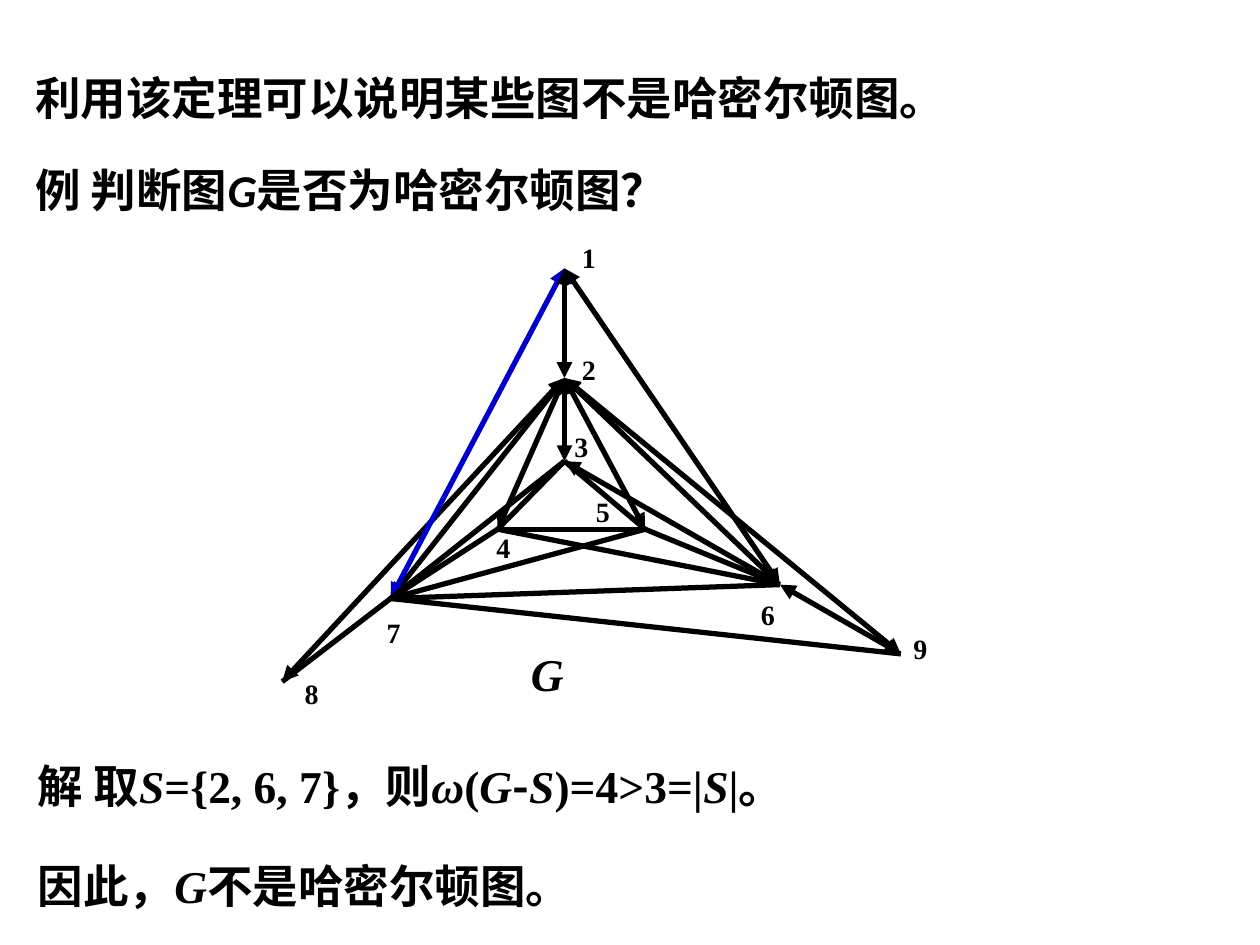
import pptx
import pptx.util
import pptx.dml.color
import pptx.enum.shapes
import pptx.enum.text
import pptx.oxml.ns
from lxml import etree

SCALE = 9144  # EMU per px, 100 px to the inch
COLORS = {"ink": "000000", "blue": "0000CC"}
SERIF, SANS, ROUND = "Times New Roman", "Noto Sans CJK SC", "Calibri"


def px(num):
    return pptx.util.Emu(num * SCALE)


def color(name):
    return pptx.dml.color.RGBColor.from_string(COLORS[name])


def add(node, tag, **attrs):
    return etree.SubElement(node, pptx.oxml.ns.qn(tag), attrs)


class Board:
    def __init__(self, deck):
        self.slide = deck.slides.add_slide(deck.slide_layouts[6])
        self.width = pptx.util.Pt(3)

    def text(self, box, runs, size, lead=None, align=None):
        """Each run is (text, italic, face)."""
        frame = self.slide.shapes.add_textbox(*map(px, box)).text_frame
        frame.word_wrap = True
        frame.auto_size = pptx.enum.text.MSO_AUTO_SIZE.SHAPE_TO_FIT_TEXT
        para = frame.paragraphs[0]
        para.line_spacing = lead
        para.alignment = align
        para.font.size = pptx.util.Pt(size)
        para.font.bold = True
        para.font.color.rgb = color("ink")
        for words, slant, face in runs:
            run = para.add_run()
            run.text = words
            run.font.name = face
            run.font.italic = slant
            add(run.font._element if hasattr(run.font, "_element")
                else run._r.get_or_add_rPr(), "a:ea", typeface=SANS)

    def line(self, start, end, arrows, tint="ink"):
        edge = self.slide.shapes.add_connector(
            pptx.enum.shapes.MSO_CONNECTOR.STRAIGHT,
            *map(px, start + end))
        edge.line.width = self.width
        edge.line.color.rgb = color(tint)
        if arrows:
            for tag in ("a:headEnd", "a:tailEnd"):
                add(edge.line._get_or_add_ln(), tag, type="triangle")
        add(edge._element.spPr, "a:effectLst")


def main():
    deck = pptx.Presentation()
    deck.slide_width, deck.slide_height = px(1000), px(750)
    board = Board(deck)

    # Statements above and below the graph
    lines = [
        (18, 42, [("利用该定理可以说明某些图不是哈密尔顿图。", False, SERIF)]),
        (18, 115, [("例 判断图", False, SANS), ("G", True, ROUND),
                   ("是否为哈密尔顿图？", False, SERIF)]),
        (20, 588, [("解 ", False, SANS), ("取", False, SERIF),
                   ("S", True, SERIF), ("={2, 6, 7}，则", False, SERIF),
                   ("ω", True, SERIF), ("(", False, SERIF),
                   ("G", True, SERIF), ("-", False, SANS),
                   ("S", True, SERIF), (")=4>3=|", False, SERIF),
                   ("S", True, SERIF), ("|。", False, SERIF)]),
        (20, 667, [("因此，", False, SERIF), ("G", True, SERIF),
                   ("不是哈密尔顿图。", False, SERIF)]),
    ]
    for left, top, runs in lines:
        board.text((left, top, 961, 62), runs, 26, lead=1.2)

    # Vertices: point, then corner of the label
    nodes = {
        1: ((448, 213), (452, 186)), 2: ((448, 300), (452, 275)),
        3: ((448, 366), (446, 336)), 4: ((395, 420), (384, 416)),
        5: ((512, 420), (463, 388)), 6: ((619, 464), (594, 469)),
        7: ((310, 475), (297, 484)), 8: ((224, 541), (232, 532)),
        9: ((715, 519), (715, 496)),
    }
    for name, (_, spot) in nodes.items():
        board.text(spot + (45, 37), [(str(name), False, SERIF)], 16)

    # Edges, back to front; those in the second set have arrowheads
    edges = [(3, 4), (2, 7), (4, 5), (7, 8), (2, 8), (3, 5), (2, 3), (4, 7),
             (1, 7), (2, 4), (1, 2), (5, 7), (3, 7), (1, 6), (7, 6), (2, 5),
             (5, 6), (6, 9), (7, 9), (4, 6), (3, 6), (2, 6), (2, 9)]
    heads = {(6, 9), (3, 6), (2, 3)}
    for pair in edges:
        start, end = (nodes[name][0] for name in pair)
        board.line(start, end, pair in heads or pair[0] < 3,
                   "blue" if pair == (1, 7) else "ink")

    # Name of the graph
    board.text((391, 508, 87, 54), [("G", True, SERIF)], 26,
               align=pptx.enum.text.PP_ALIGN.CENTER)

    deck.save("out.pptx")


if __name__ == "__main__":
    main()
